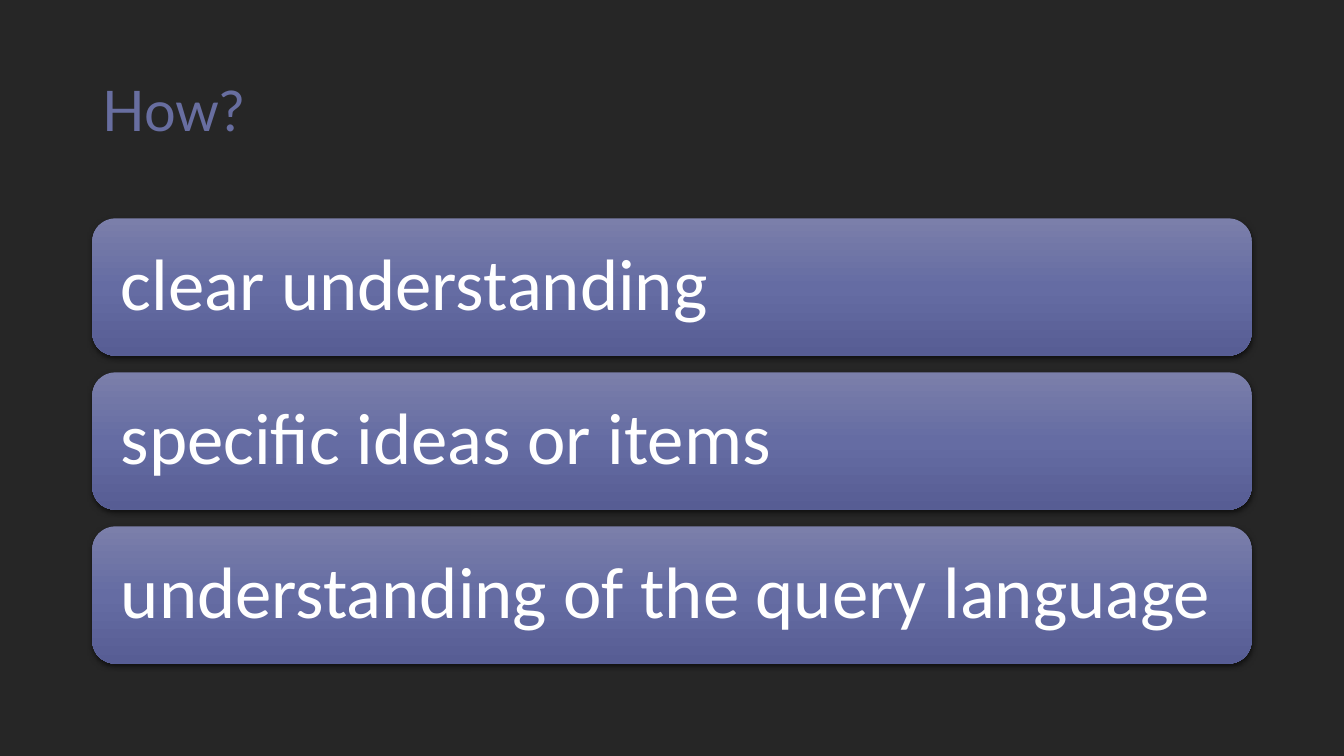
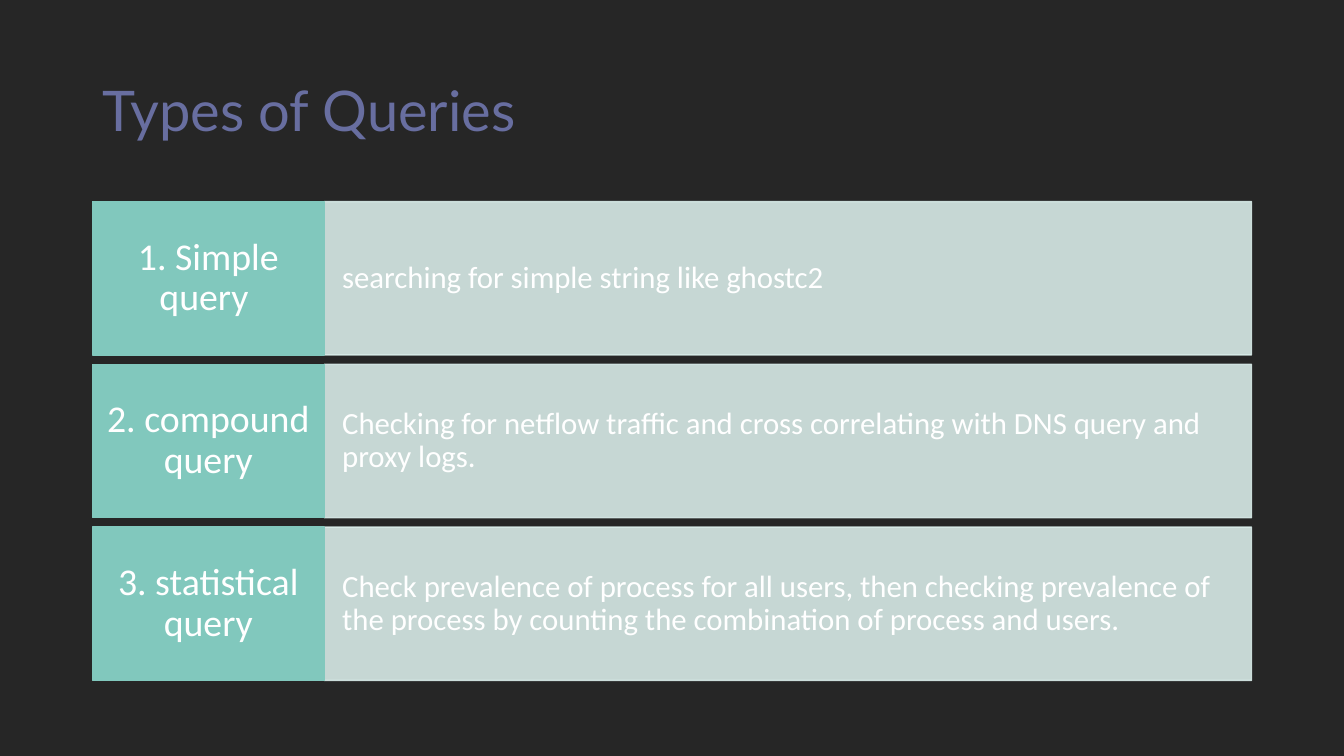
from dataclasses import dataclass

from lxml.etree import SubElement
from pptx import Presentation
from pptx.dml.color import RGBColor
from pptx.enum.shapes import MSO_SHAPE
from pptx.enum.text import MSO_ANCHOR, PP_ALIGN
from pptx.oxml.ns import qn
from pptx.util import Pt


@dataclass(frozen=True)
class Theme:
    background: str = "262626"
    title: str = "686EA0"
    text: str = "FFFFFF"
    label: str = "81C8BD"
    description: str = "D8EBE8"
    shadow: str = "000000"
    card_gradient: tuple = ((0, "7B7FAA"), (50, "656CA3"), (100, "575D94"))
    title_font: str = "Lato"
    body_font: str = "Calibri"
    title_size: int = 40
    card_size: int = 52
    label_size: int = 27
    description_size: int = 22


LEFT, WIDTH = 66, 828
CARD_TOP, CARD_HEIGHT, CARD_GAP = 156, 98, 12
ROW_TOP, ROW_HEIGHT, ROW_GAP = 144, 109.5, 6.75
LABEL_WIDTH = WIDTH / 5

REQUIREMENTS = [
    "clear understanding",
    "specific ideas or items",
    "understanding of the query language",
]
QUERY_TYPES = [
    ("1. Simple query ", "searching for simple string like ghostc2"),
    ("2. compound query",
     "Checking for netflow traffic and cross correlating with DNS query and proxy logs."),
    ("3. statistical query",
     "Check prevalence of process for all users, then checking prevalence of "
     "the process by counting the combination of process and users."),
]


class Deck:
    def __init__(self, theme):
        self.theme = theme
        self.presentation = Presentation()
        self.presentation.slide_width = Pt(960)
        self.presentation.slide_height = Pt(540)
        self.slide = None

    def new_slide(self, heading):
        theme = self.theme
        self.slide = self.presentation.slides.add_slide(self.presentation.slide_layouts[6])
        fill = self.slide.background.fill
        fill.solid()
        fill.fore_color.rgb = RGBColor.from_string(theme.background)
        title = self.slide.shapes.add_textbox(Pt(LEFT), Pt(28.8), Pt(WIDTH), Pt(104.4))
        self.add_words(title, heading, theme.title_size, (7.2, 3.6),
                       font=theme.title_font, color=theme.title)

    def add_words(self, holder, words, size, insets, align=PP_ALIGN.LEFT, font=None, color=None):
        frame = holder.text_frame
        frame.word_wrap = True
        frame.vertical_anchor = MSO_ANCHOR.MIDDLE
        frame.margin_left = frame.margin_right = Pt(insets[0])
        frame.margin_top = frame.margin_bottom = Pt(insets[1])
        paragraph = frame.paragraphs[0]
        paragraph.alignment = align
        paragraph.line_spacing = 0.9
        run = paragraph.add_run()
        run.text = words
        run.font.size = Pt(size)
        run.font.name = font or self.theme.body_font
        run.font.color.rgb = RGBColor.from_string(color or self.theme.text)

    def shape(self, kind, left, top, width, height):
        shape = self.slide.shapes.add_shape(kind, Pt(left), Pt(top), Pt(width), Pt(height))
        shape.shadow.inherit = False
        return shape

    def card(self, top, words):
        card = self.shape(MSO_SHAPE.ROUNDED_RECTANGLE, LEFT, top, WIDTH, CARD_HEIGHT)
        card.line.fill.background()
        card.fill.gradient()
        card.fill.gradient_angle = 270
        properties = card._element.spPr
        stops = properties.find(qn("a:gradFill")).find(qn("a:gsLst"))
        for stop in list(stops):
            stops.remove(stop)
        for position, color in self.theme.card_gradient:
            stop = SubElement(stops, qn("a:gs"), pos=str(position * 1000))
            SubElement(stop, qn("a:srgbClr"), val=color)
        shadow = SubElement(properties.find(qn("a:effectLst")), qn("a:outerShdw"),
                            blurRad=str(Pt(4.5)), dist=str(Pt(1.5)),
                            dir="5400000", algn="ctr", rotWithShape="0")
        shade = SubElement(shadow, qn("a:srgbClr"), val=self.theme.shadow)
        SubElement(shade, qn("a:alpha"), val="63000")
        self.add_words(card, words, self.theme.card_size, (15.6, 15.6))

    def cell(self, left, top, width, color, opacity=100):
        cell = self.shape(MSO_SHAPE.RECTANGLE, left, top, width, ROW_HEIGHT)
        cell.line.width = Pt(1)
        for fill in (cell.fill, cell.line.fill):
            fill.solid()
            fill.fore_color.rgb = RGBColor.from_string(color)
        if opacity < 100:
            for shade in cell._element.spPr.iter(qn("a:srgbClr")):
                SubElement(shade, qn("a:alpha"), val=str(opacity * 1000))
        return cell

    def row(self, top, label, description):
        theme = self.theme
        detail = self.cell(LEFT + LABEL_WIDTH, top, WIDTH - LABEL_WIDTH, theme.description, 90)
        self.add_words(detail, description, theme.description_size, (12.8, 27.8))
        name = self.cell(LEFT, top, LABEL_WIDTH, theme.label)
        self.add_words(name, label, theme.label_size, (8.8, 10.8), PP_ALIGN.CENTER)


def main():
    deck = Deck(Theme())
    deck.new_slide("How?")
    for index, requirement in enumerate(REQUIREMENTS):
        deck.card(CARD_TOP + index * (CARD_HEIGHT + CARD_GAP), requirement)
    deck.new_slide("Types of Queries")
    for index, (label, description) in enumerate(QUERY_TYPES):
        deck.row(ROW_TOP + index * (ROW_HEIGHT + ROW_GAP), label, description)
    deck.presentation.save("out.pptx")


if __name__ == "__main__":
    main()
